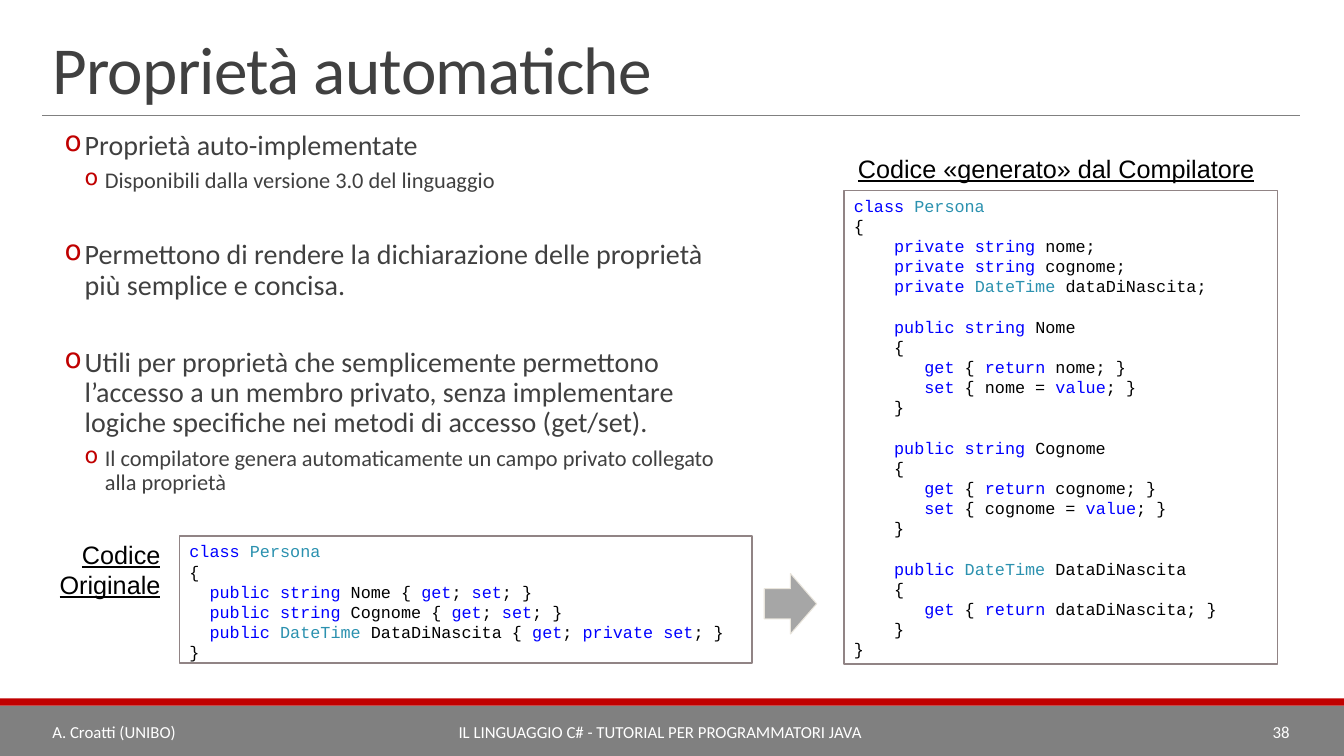
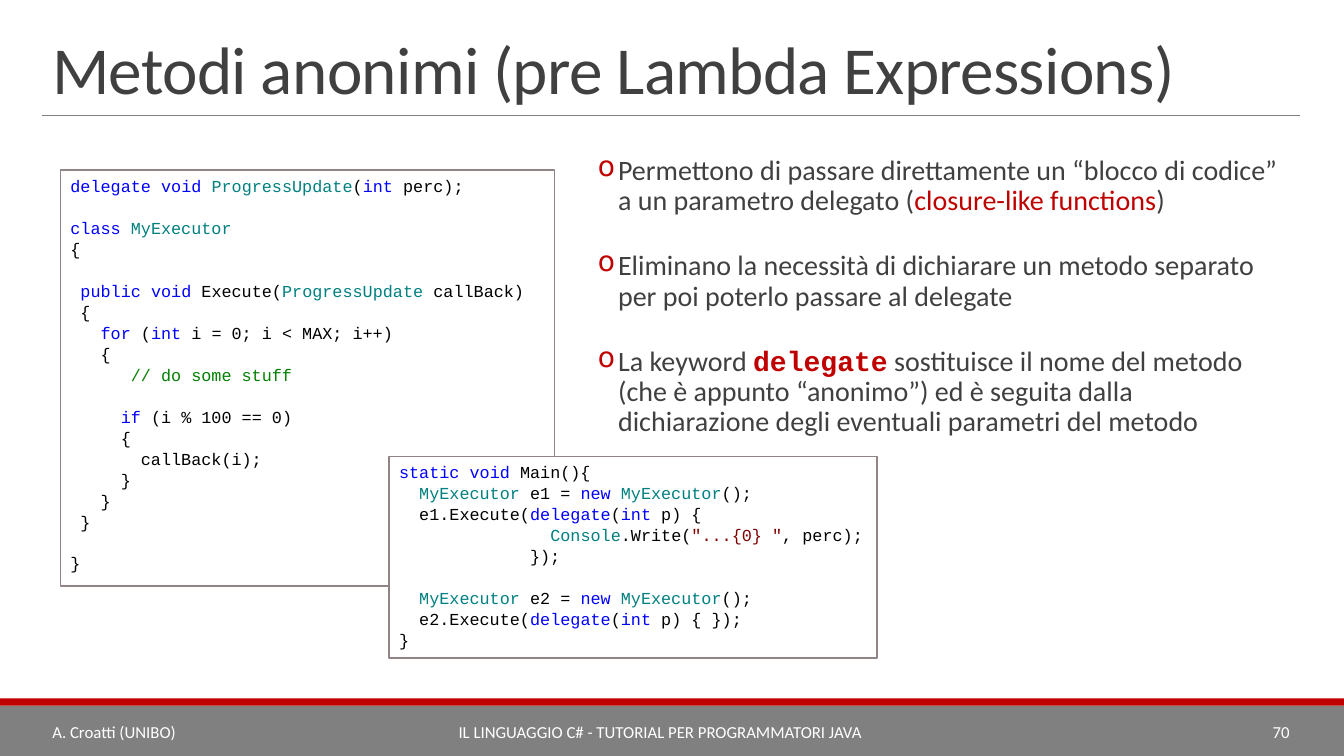
from itertools import groupby

from lxml import etree
from pptx import Presentation
from pptx.dml.color import RGBColor
from pptx.enum.shapes import MSO_CONNECTOR, MSO_SHAPE
from pptx.enum.text import MSO_ANCHOR, PP_ALIGN
from pptx.oxml.ns import qn
from pptx.util import Inches, Pt

WHITE = RGBColor(0xFF, 0xFF, 0xFF)
BLACK = RGBColor(0x00, 0x00, 0x00)
INK = RGBColor(0x40, 0x40, 0x40)
GRAY = RGBColor(0x80, 0x80, 0x80)
RED = RGBColor(0xC0, 0x00, 0x00)
FRAME = RGBColor(0x91, 0x84, 0x85)
ARROW_FILL = RGBColor(0xA6, 0xA6, 0xA6)
ARROW_EDGE = RGBColor(0xE9, 0xE5, 0xDC)
KEYWORD_BLUE = RGBColor(0x00, 0x00, 0xFF)
COMMENT_GREEN = RGBColor(0x00, 0x80, 0x00)
STRING_MAROON = RGBColor(0x80, 0x00, 0x00)
TYPE_CYAN = RGBColor(0x2B, 0x91, 0xAF)
TYPE_TEAL = RGBColor(0x00, 0x80, 0x80)

SANS, LABEL_FONT, MONO = "Calibri", "Arial", "Courier New"
CODE_LINE, LABEL_LINE = 14.4, 21.4

KEYWORDS = set("class private public string get set return value delegate void "
               "int for if static new".split())
TYPES = {"Persona", "DateTime", "ProgressUpdate", "MyExecutor", "Console"}

AUTHOR = "A. Croatti (UNIBO)"
COURSE = "IL LINGUAGGIO C# - TUTORIAL PER PROGRAMMATORI JAVA"

GENERATED_CODE = """class Persona
{
    private string nome;
    private string cognome;
    private DateTime dataDiNascita;

    public string Nome
    {
       get { return nome; }
       set { nome = value; }
    }

    public string Cognome
    {
       get { return cognome; }
       set { cognome = value; }
    }

    public DateTime DataDiNascita
    {
       get { return dataDiNascita; }
    }
}"""

SOURCE_CODE = """class Persona
{
  public string Nome { get; set; }
  public string Cognome { get; set; }
  public DateTime DataDiNascita { get; private set; }
}"""

EXECUTOR_CODE = """delegate void ProgressUpdate(int perc);

class MyExecutor
{

 public void Execute(ProgressUpdate callBack)
 {
   for (int i = 0; i < MAX; i++)
   {
      // do some stuff

     if (i % 100 == 0)
     {
       callBack(i);
     }
   }
 }

}"""

MAIN_CODE = """static void Main(){
  MyExecutor e1 = new MyExecutor();
  e1.Execute(delegate(int p) {
               Console.Write("...{0} ", perc);
             });

  MyExecutor e2 = new MyExecutor();
  e2.Execute(delegate(int p) { });
}"""


def color_tokens(line, type_color):
    """Split a line of C# into (text, colour) pieces."""
    if line.lstrip().startswith("//"):
        return [(line, COMMENT_GREEN)]
    pieces = []
    for index, part in enumerate(line.split('"')):
        if index % 2:
            pieces.append((f'"{part}"', STRING_MAROON))
            continue
        for _, letters in groupby(part, str.isalnum):
            word = "".join(letters)
            color = (KEYWORD_BLUE if word in KEYWORDS
                     else type_color if word in TYPES else BLACK)
            pieces.append((word, color))
    return pieces


class Deck:
    def __init__(self):
        self.prs = Presentation()
        self.prs.slide_width = Inches(13.33)
        self.prs.slide_height = Inches(7.5)
        self.slide = None

    def new_slide(self, title, number):
        self.slide = self.prs.slides.add_slide(self.prs.slide_layouts[6])
        self.shape(MSO_SHAPE.RECTANGLE, (0, 7, 13.33, 0.5), GRAY)
        self.shape(MSO_SHAPE.RECTANGLE, (0, 6.93, 13.33, 0.07), RED)
        self.rule(0.42, 12.89, 1.14)
        self.title(title)
        self.footer(AUTHOR, 0.42, 1.85, PP_ALIGN.LEFT)
        self.footer(COURSE, 2.27, 8.56, PP_ALIGN.CENTER)
        self.footer(str(number), 10.83, 2.06, PP_ALIGN.RIGHT)

    def shape(self, kind, box, fill, edge=None, edge_width=1.25):
        shape = self.slide.shapes.add_shape(kind, *map(Inches, box))
        shape.shadow.inherit = False
        shape.fill.solid()
        shape.fill.fore_color.rgb = fill
        if edge is None:
            shape.line.fill.background()
        else:
            shape.line.color.rgb = edge
            shape.line.width = Pt(edge_width)
        return shape

    def rule(self, left, right, top):
        rule = self.slide.shapes.add_connector(
            MSO_CONNECTOR.STRAIGHT, Inches(left), Inches(top), Inches(right), Inches(top))
        rule.line.color.rgb = GRAY
        rule.line.width = Pt(0.5)
        etree.SubElement(rule._element.spPr, qn("a:effectLst"))

    def text_frame(self, box, anchor=MSO_ANCHOR.TOP):
        frame = self.slide.shapes.add_textbox(*map(Inches, box)).text_frame
        frame.word_wrap = True
        frame.vertical_anchor = anchor
        return frame

    def run(self, paragraph, text, size, color, font=SANS):
        run = paragraph.add_run()
        run.text = text
        run.font.size = Pt(size)
        run.font.name = font
        run.font.color.rgb = color
        return run

    def title(self, text):
        paragraph = self.text_frame((0.42, 0.31, 12.47, 0.81), MSO_ANCHOR.BOTTOM).paragraphs[0]
        paragraph.line_spacing = 0.85
        run = self.run(paragraph, text, 48, INK)
        run.font._element.set("spc", "-50")

    def footer(self, text, left, width, align):
        paragraph = self.text_frame((left, 7.06, width, 0.4), MSO_ANCHOR.MIDDLE).paragraphs[0]
        paragraph.alignment = align
        self.run(paragraph, text, 12, WHITE)

    def label(self, lines, box):
        frame = self.text_frame(box)
        frame.text = "\n".join(lines)
        for paragraph in frame.paragraphs:
            paragraph.alignment = PP_ALIGN.RIGHT
            paragraph.line_spacing = Pt(LABEL_LINE)
            font = paragraph.runs[0].font
            font.size, font.name, font.underline = Pt(18), LABEL_FONT, True
            font.color.rgb = BLACK

    def bullets(self, box, items, group_gap):
        """Each item is (level, pieces); a piece is (text, style)."""
        frame = self.text_frame(box)
        frame.margin_left = frame.margin_right = 0
        for index, (level, pieces) in enumerate(items):
            paragraph = frame.add_paragraph() if index else frame.paragraphs[0]
            properties = paragraph._p.get_or_add_pPr()
            properties.set("marL", str(Inches(0.22 + 0.2 * level)))
            properties.set("indent", str(Inches(-0.2)))
            bullet_color = etree.SubElement(properties, qn("a:buClr"))
            etree.SubElement(bullet_color, qn("a:srgbClr")).set("val", str(RED))
            etree.SubElement(properties, qn("a:buChar")).set("char", "o")
            paragraph.line_spacing = 0.9
            paragraph.space_after = Pt(4)
            if index:
                paragraph.space_before = Pt(group_gap if level == 1 else 2)
            for text, style in pieces:
                run = self.run(paragraph, text, 20 if level == 1 else 16,
                               INK if style == "plain" else RED,
                               MONO if style == "code" else SANS)
                run.font.bold = style == "code"

    def code(self, source, box, type_color, line_gap=0):
        """Draw framed C# code; empty lines become space before the next line."""
        panel = self.shape(MSO_SHAPE.RECTANGLE, box, WHITE, FRAME)
        frame = panel.text_frame
        frame.word_wrap = True
        frame.vertical_anchor = MSO_ANCHOR.TOP
        frame.margin_bottom = 0
        gap = 0
        for index, line in enumerate(source.split("\n")):
            if not line:
                gap += CODE_LINE + line_gap
                continue
            paragraph = frame.add_paragraph() if index else frame.paragraphs[0]
            paragraph.alignment = PP_ALIGN.LEFT
            paragraph.line_spacing = Pt(CODE_LINE)
            if index:
                paragraph.space_before = Pt(gap + line_gap)
            gap = 0
            for text, color in color_tokens(line, type_color):
                self.run(paragraph, text, 12, color, MONO)

    def arrow(self, box):
        self.shape(MSO_SHAPE.RIGHT_ARROW, box, ARROW_FILL, ARROW_EDGE, 0.75)


def plain(level, text):
    return level, [(text, "plain")]


def automatic_properties(deck):
    deck.new_slide("Proprietà automatiche", 38)
    deck.bullets((0.42, 1.25, 6.89, 5.41), [
        plain(1, "Proprietà auto-implementate"),
        plain(2, "Disponibili dalla versione 3.0 del linguaggio"),
        plain(1, "Permettono di rendere la dichiarazione delle proprietà più semplice e concisa."),
        plain(1, "Utili per proprietà che semplicemente permettono l’accesso a un membro privato, "
                 "senza implementare logiche specifiche nei metodi di accesso (get/set)."),
        plain(2, "Il compilatore genera automaticamente un campo privato collegato alla proprietà"),
    ], group_gap=29.5)
    deck.code(GENERATED_CODE, (8.37, 1.89, 4.3, 4.7), TYPE_CYAN)
    deck.code(SOURCE_CODE, (1.78, 5.32, 5.68, 1.26), TYPE_CYAN)
    deck.arrow((7.58, 5.69, 0.52, 0.6))
    deck.label(["Codice", "Originale"], (0.36, 5.3, 1.33, 0.71))
    deck.label(["Codice «generato» dal Compilatore"], (8.37, 1.47, 4.17, 0.4))


def anonymous_methods(deck):
    deck.new_slide("Metodi anonimi (pre Lambda Expressions)", 70)
    deck.bullets((5.71, 1.5, 6.99, 3.22), [
        (1, [("Permettono di passare direttamente un “blocco di codice” "
              "a un parametro delegato (", "plain"),
             ("closure-like functions", "accent"), (")", "plain")]),
        plain(1, "Eliminano la necessità di dichiarare un metodo separato "
                 "per poi poterlo passare al delegate"),
        (1, [("La keyword ", "plain"), ("delegate", "code"),
             (" sostituisce il nome del metodo (che è appunto “anonimo”) ed è seguita dalla "
              "dichiarazione degli eventuali parametri del metodo", "plain")]),
    ], group_gap=21)
    deck.code(EXECUTOR_CODE, (0.6, 1.69, 4.9, 4.12), TYPE_TEAL, line_gap=0.6)
    deck.code(MAIN_CODE, (3.86, 4.53, 4.84, 2), TYPE_TEAL, line_gap=0.6)


def main():
    deck = Deck()
    automatic_properties(deck)
    anonymous_methods(deck)
    deck.prs.save("out.pptx")


if __name__ == "__main__":
    main()
